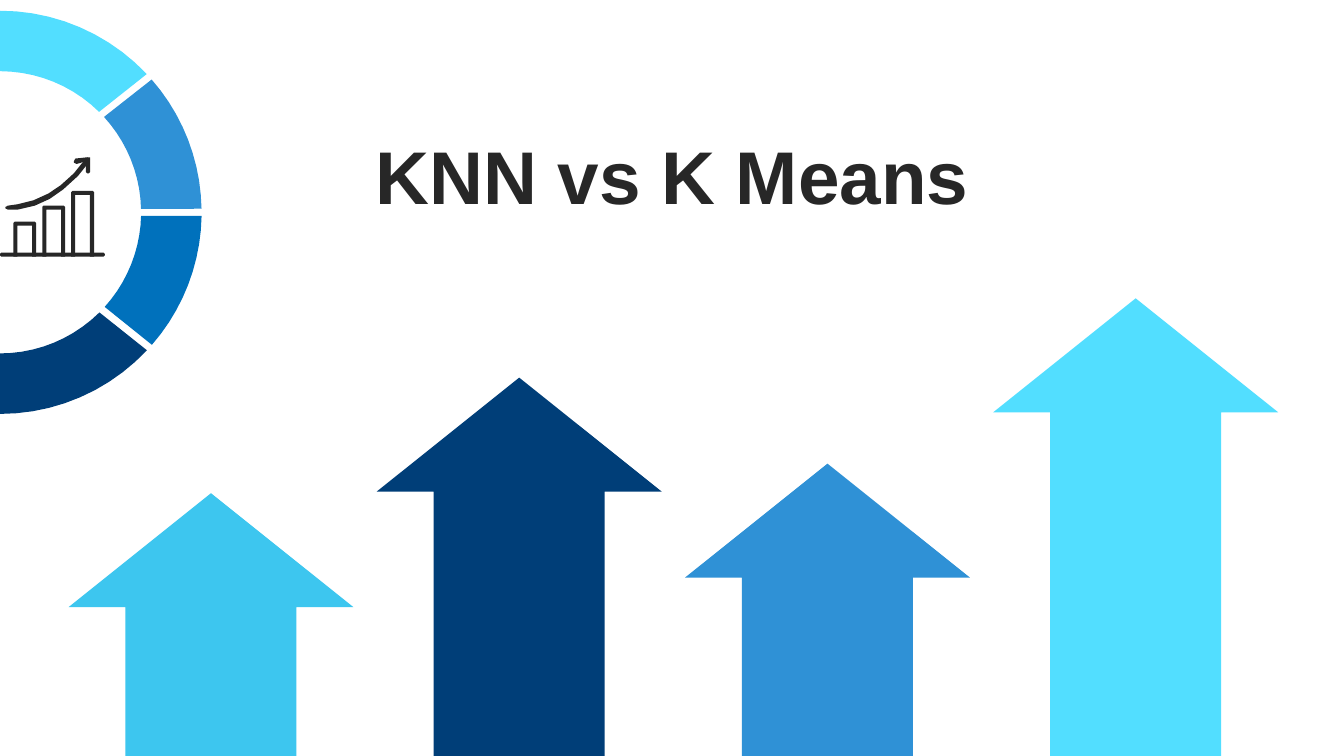
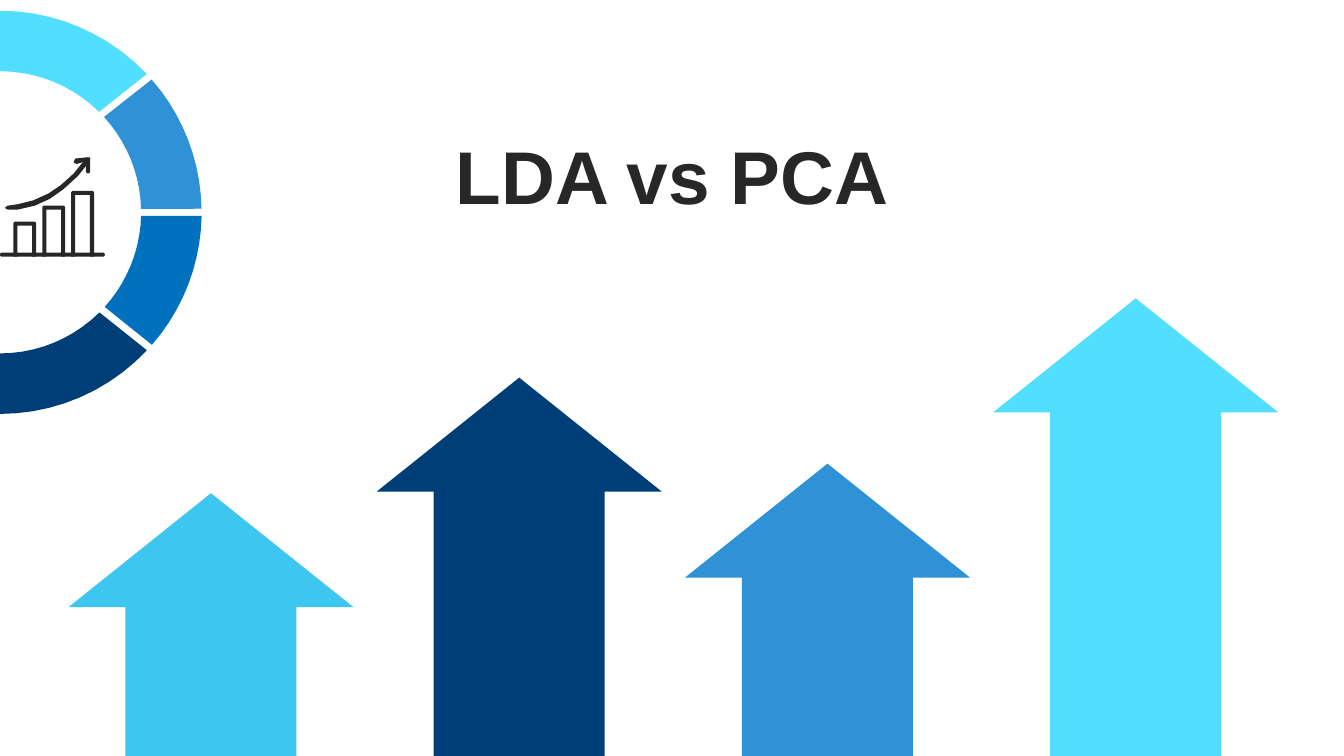
from dataclasses import dataclass
from math import cos, radians, sin

from pptx import Presentation
from pptx.dml.color import RGBColor
from pptx.enum.text import MSO_ANCHOR, PP_ALIGN
from pptx.util import Inches, Pt

BOTTOM = MSO_ANCHOR.BOTTOM
CENTER = PP_ALIGN.CENTER


@dataclass(frozen=True)
class Theme:
    """Colours, font and type size shared by the slides."""
    ink: str = "272727"
    cyan: str = "52DEFF"
    sky: str = "3DC6EF"
    blue: str = "2F91D6"
    royal: str = "0071BC"
    navy: str = "003E78"
    font: str = "Arial"
    title_size: int = 40


THEME = Theme()
TITLES = ["KNN vs K Means", "LDA vs PCA"]
FIRST_ARROW, LAST_ARROW = 0.51, 7.39
ARROWS = [
    (3.67, 2.04, THEME.sky),
    (2.81, 3.12, THEME.navy),
    (3.45, 2.42, THEME.blue),
    (2.22, 3.74, THEME.cyan),
]
RING_SEGMENTS = [
    (1, (1.4, 42.1), (1, 41.1), THEME.royal),
    (-1, (1.4, 42.5), (1, 41.2), THEME.blue),
    (-1, (45.4, 90), (43.3, 90), THEME.cyan),
    (1, (45.2, 90), (43.2, 90), THEME.navy),
]
TREND_CURVE = [
    (0.65, 0), (0.63, 0.02), (0.55, 0.12), (0.45, 0.21), (0.36, 0.27),
    (0.25, 0.32), (0.13, 0.35), (0.06, 0.36), (0.04, 0.37), (0.04, 0.38),
    (0.06, 0.39), (0.13, 0.39), (0.26, 0.36), (0.37, 0.31), (0.47, 0.24),
    (0.58, 0.14), (0.66, 0.04), (0.67, 0.02), (0.66, 0.01),
]
TREND_HEAD = [
    (0.65, 0), (0.56, 0.01), (0.55, 0.03), (0.55, 0.04), (0.57, 0.05),
    (0.64, 0.03), (0.64, 0.11), (0.65, 0.12), (0.66, 0.12), (0.67, 0.11),
    (0.67, 0), (0.66, 0),
]


def draw_outline(shapes, left, top, points, color):
    """Draw a filled polygon from points relative to left and top."""
    pts = [(Inches(left + x), Inches(top + y)) for x, y in points]
    fb = shapes.build_freeform(*pts[0])
    fb.add_line_segments(pts[1:], close=True)
    sp = fb.convert_to_shape()
    sp.shadow.inherit = False
    sp.fill.solid()
    sp.fill.fore_color.rgb = RGBColor.from_string(color)
    sp.line.fill.background()


def add_title(s, left, top, width, height, text):
    """Place the centred slide title in its box."""
    sp = s.shapes.add_textbox(Inches(left), Inches(top), Inches(width), Inches(height))
    tf = sp.text_frame
    tf.word_wrap = True
    tf.vertical_anchor = BOTTOM
    tf.margin_left = tf.margin_right = tf.margin_top = Inches(0.1)
    tf.margin_bottom = Inches(0.85)
    p = tf.paragraphs[0]
    p.text = text
    p.alignment = CENTER
    p.font.name = THEME.font
    p.font.size = Pt(THEME.title_size)
    p.font.bold = True
    p.font.color.rgb = RGBColor.from_string(THEME.ink)


def add_arrow(s, left, top, width, height, color):
    """Draw an upward arrow that fills its box."""
    head, inset = width * 0.4, width / 5
    points = [
        (width / 2, 0), (0, head), (inset, head), (inset, height),
        (width - inset, height), (width - inset, head), (width, head),
    ]
    draw_outline(s.shapes, left, top, points, color)


def arc_points(radius, start, end, side, steps=10):
    """Return points along an arc, below (1) or above (-1) its centre."""
    angles = [radians(start + (end - start) * i / steps) for i in range(steps + 1)]
    return [(radius * cos(a), side * radius * sin(a)) for a in angles]


def add_ring(s, center_x, center_y, inner, outer):
    """Draw the half ring of coloured segments around its centre."""
    for side, inside, outside, color in RING_SEGMENTS:
        points = arc_points(inner, *inside, side) + arc_points(outer, *outside, side)[::-1]
        draw_outline(s.shapes, center_x, center_y, points, color)


def add_growth_icon(s, left, top, width, height):
    """Draw the grouped bar icon with its rising trend arrow."""
    shapes = s.shapes.add_group_shape().shapes
    stroke, nick, bar_width = 0.03, 0.01, 0.17
    baseline = [
        (nick, 0), (0, nick), (0, stroke - nick), (nick, stroke),
        (width - nick, stroke), (width, stroke - nick), (width, nick), (width - nick, 0),
    ]
    draw_outline(shapes, left, top + height - stroke, baseline, THEME.ink)
    for i, bar_height in enumerate((0.26, 0.38, 0.49)):
        right = bar_width - stroke
        bar = [
            (nick, 0), (0, nick), (0, bar_height), (stroke, bar_height),
            (stroke, stroke), (right, stroke), (right, bar_height),
            (bar_width, bar_height), (bar_width, nick), (bar_width - nick, 0),
        ]
        draw_outline(shapes, left + 0.1 + 0.43 * i / 2, top + height - bar_height, bar, THEME.ink)
    for outline in (TREND_CURVE, TREND_HEAD):
        draw_outline(shapes, left, top, outline, THEME.ink)


def add_title_slide(prs, title):
    """Build one title slide with its arrows, ring and icon."""
    s = prs.slides.add_slide(prs.slide_layouts[6])
    add_title(s, 0.8, 0.73, 8.4, 1.61, title)
    pitch = (LAST_ARROW - FIRST_ARROW) / (len(ARROWS) - 1)
    for i, (top, height, color) in enumerate(ARROWS):
        add_arrow(s, FIRST_ARROW + pitch * i, top, 2.12, height, color)
    add_ring(s, 0, 1.58, 1.05, 1.5)
    add_growth_icon(s, 0, 1.17, 0.78, 0.74)


def main():
    """Build and save the presentation."""
    prs = Presentation()
    prs.slide_width, prs.slide_height = Inches(10), Inches(10 * 9 / 16)
    for title in TITLES:
        add_title_slide(prs, title)
    prs.save("out.pptx")


if __name__ == "__main__":
    main()
